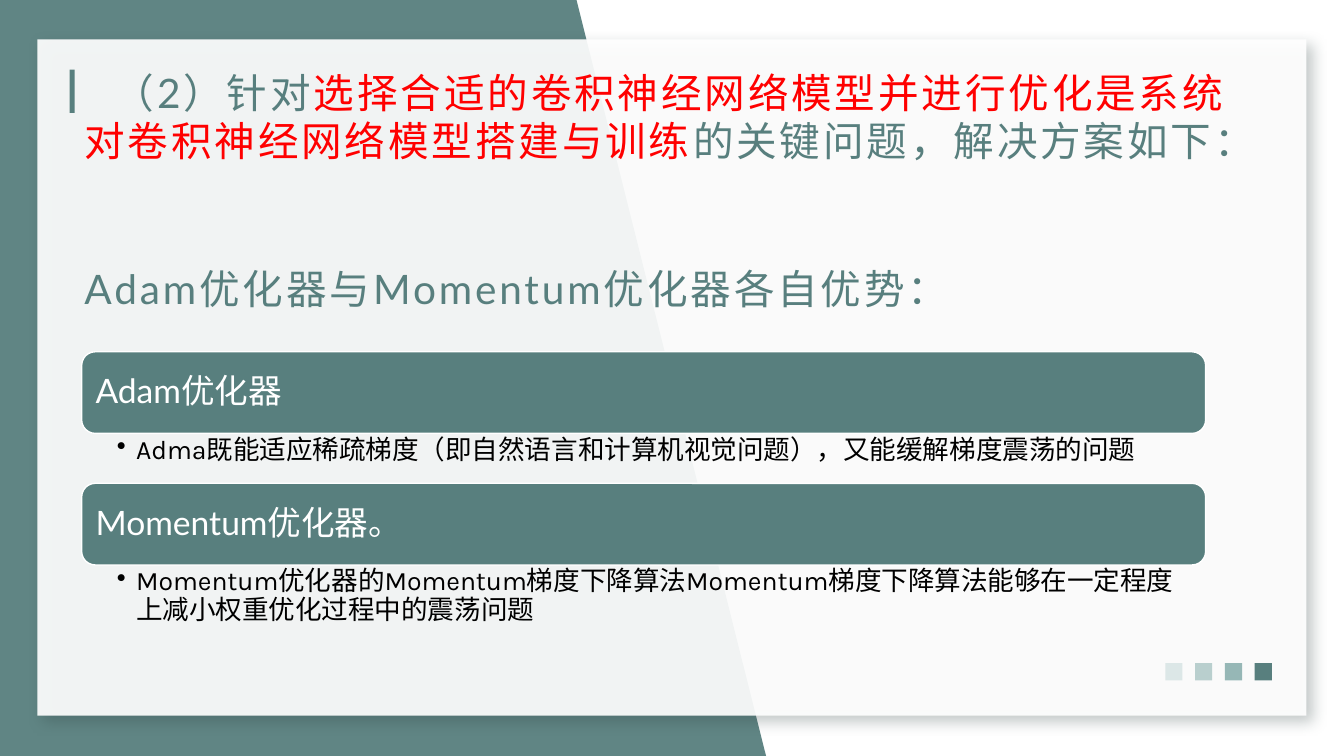
from dataclasses import dataclass
from typing import Optional

from lxml.etree import SubElement
from pptx import Presentation
from pptx.dml.color import RGBColor
from pptx.enum.shapes import MSO_SHAPE
from pptx.enum.text import MSO_ANCHOR, PP_ALIGN
from pptx.oxml.ns import qn
from pptx.util import Emu, Inches, Pt


@dataclass(frozen=True)
class Theme:
    teal: str = "587F7E"
    white: str = "FFFFFF"
    red: str = "FF0000"
    black: str = "000000"
    shadow: str = "2C403F"
    squares: tuple[str, ...] = ("DCE7E7", "B9CFCE", "96B7B6", "587F7E")
    heading_font: str = "Lato"
    body_font: str = "Karla"
    title_size: int = 29
    bar_size: int = 24
    detail_size: int = 19


@dataclass(frozen=True)
class Box:
    x: float
    y: float
    w: float
    h: float


@dataclass(frozen=True)
class Span:
    text: str
    color: str


@dataclass(frozen=True)
class Optimizer:
    name: str
    detail: str
    detail_height: float


THEME = Theme()
BACKDROPS = (
    (THEME.white, ((22.8, 0), (100, 0), (100, 100), (22.8, 100))),
    (THEME.teal, ((0, 0), (42.9, 0), (57, 100), (0, 100))),
)
CARD = Box(2.78, 5.2, 94.43, 89.47)
MARKER = Box(5.18, 9.2, 0.38, 5.73)
SQUARE = Box(86.7, 87.73, 1.28, 2.27)
SQUARE_STEP = 2.22
TITLE = Box(5.55, 8.27, 88.35, 14.67)
SUBTITLE = Box(5.55, 34.27, 88.35, 8)
BAR = Box(6.08, 46.53, 83.63, 10.8)
BAR_STEP = 17.4
TITLE_SPANS = (
    Span("（2）针对", THEME.teal),
    Span("选择合适的卷积神经网络模型并进行优化是系统对卷积神经网络模型搭建与训练", THEME.red),
    Span("的关键问题，解决方案如下：", THEME.teal),
)
SUBTITLE_SPANS = (Span("Adam优化器与Momentum优化器各自优势：", THEME.teal),)
OPTIMIZERS = (
    Optimizer("Adam优化器", "Adma既能适应稀疏梯度（即自然语言和计算机视觉问题），又能缓解梯度震荡的问题", 6.53),
    Optimizer(
        "Momentum优化器。",
        "Momentum优化器的Momentum梯度下降算法Momentum梯度下降算法能够在一定程度上减小权重优化过程中的震荡问题",
        12,
    ),
)

prs = Presentation()
prs.slide_width = Inches(13.333)
prs.slide_height = Inches(7.5)
s = prs.slides.add_slide(prs.slide_layouts[6])


def across(share: float) -> Emu:
    return Emu(round(prs.slide_width * share / 100))


def down(share: float) -> Emu:
    return Emu(round(prs.slide_height * share / 100))


def place(box: Box) -> tuple[Emu, Emu, Emu, Emu]:
    return across(box.x), down(box.y), across(box.w), down(box.h)


def paint(sp, color: str, opacity: int = 100, line: Optional[str] = None) -> None:
    sp.shadow.inherit = False
    sp.fill.solid()
    sp.fill.fore_color.rgb = RGBColor.from_string(color)
    if opacity < 100:
        set_opacity(sp.fill._xPr.find(f".//{qn('a:srgbClr')}"), opacity)
    if line:
        sp.line.color.rgb = RGBColor.from_string(line)
        sp.line.width = Pt(1)
    else:
        sp.line.fill.background()


def set_opacity(color_element, opacity: int) -> None:
    SubElement(color_element, qn("a:alpha"), val=str(opacity * 1000))


def add_backdrop(color: str, points: tuple[tuple[float, float], ...]) -> None:
    corners = [(across(x), down(y)) for x, y in points]
    builder = s.shapes.build_freeform(*corners[0])
    builder.add_line_segments(corners[1:], close=True)
    paint(builder.convert_to_shape(), color, 95)


def add_block(box: Box, color: str, opacity: int = 100,
              kind: MSO_SHAPE = MSO_SHAPE.RECTANGLE, line: Optional[str] = None):
    sp = s.shapes.add_shape(kind, *place(box))
    paint(sp, color, opacity, line)
    return sp


def add_card() -> None:
    sp = add_block(CARD, THEME.white, 92)
    effects = sp._element.spPr.find(qn("a:effectLst"))
    shadow = SubElement(effects, qn("a:outerShdw"), blurRad=str(Pt(10)), dist=str(Pt(6)),
                        dir=str(45 * 60000), algn="tl", rotWithShape="0")
    set_opacity(SubElement(shadow, qn("a:srgbClr"), val=THEME.shadow), 30)


def style(r, font: str, size: int, color: str) -> None:
    r.font.name = font
    r.font.size = Pt(size)
    r.font.color.rgb = RGBColor.from_string(color)


def add_text_box(box: Box, left: float, top: float, right: float):
    tf = s.shapes.add_textbox(*place(box)).text_frame
    tf.word_wrap = True
    tf.margin_left, tf.margin_right = Inches(left), Inches(right)
    tf.margin_top = tf.margin_bottom = Inches(top)
    return tf


def add_heading(box: Box, spans: tuple[Span, ...], indent: float = 0) -> None:
    p = add_text_box(box, 0.1, 0.05, 0.1).paragraphs[0]
    p._p.get_or_add_pPr().set("indent", str(Inches(indent)))
    for span in spans:
        r = p.add_run()
        r.text = span.text
        style(r, THEME.heading_font, THEME.title_size, span.color)
        r._r.get_or_add_rPr().set("spc", "200")


def add_optimizer(row: int, item: Optimizer) -> None:
    top = BAR.y + row * BAR_STEP
    sp = add_block(Box(BAR.x, top, BAR.w, BAR.h), THEME.teal,
                   kind=MSO_SHAPE.ROUNDED_RECTANGLE, line=THEME.white)
    tf = sp.text_frame
    tf.text = item.name
    tf.word_wrap = True
    tf.vertical_anchor = MSO_ANCHOR.MIDDLE
    p = tf.paragraphs[0]
    p.alignment = PP_ALIGN.LEFT
    p.line_spacing = 0.9
    style(p.runs[0], THEME.heading_font, THEME.bar_size, THEME.white)

    tf = add_text_box(Box(BAR.x, top + BAR.h, BAR.w, item.detail_height), 0.35, 0.03, 0.19)
    tf.text = item.detail
    p = tf.paragraphs[0]
    p.level = 1
    p.line_spacing = 0.9
    pPr = p._p.get_or_add_pPr()
    pPr.set("marL", str(Inches(0.19)))
    pPr.set("indent", str(Inches(-0.19)))
    SubElement(pPr, qn("a:buChar"), char="•")
    style(p.runs[0], THEME.body_font, THEME.detail_size, THEME.black)


def main() -> None:
    for color, points in BACKDROPS:
        add_backdrop(color, points)
    add_card()
    for column, color in enumerate(THEME.squares):
        add_block(Box(SQUARE.x + column * SQUARE_STEP, SQUARE.y, SQUARE.w, SQUARE.h), color)
    add_block(MARKER, THEME.teal)
    add_heading(TITLE, TITLE_SPANS, 0.29)
    add_heading(SUBTITLE, SUBTITLE_SPANS)
    for row, item in enumerate(OPTIMIZERS):
        add_optimizer(row, item)
    prs.save("out.pptx")


if __name__ == "__main__":
    main()
